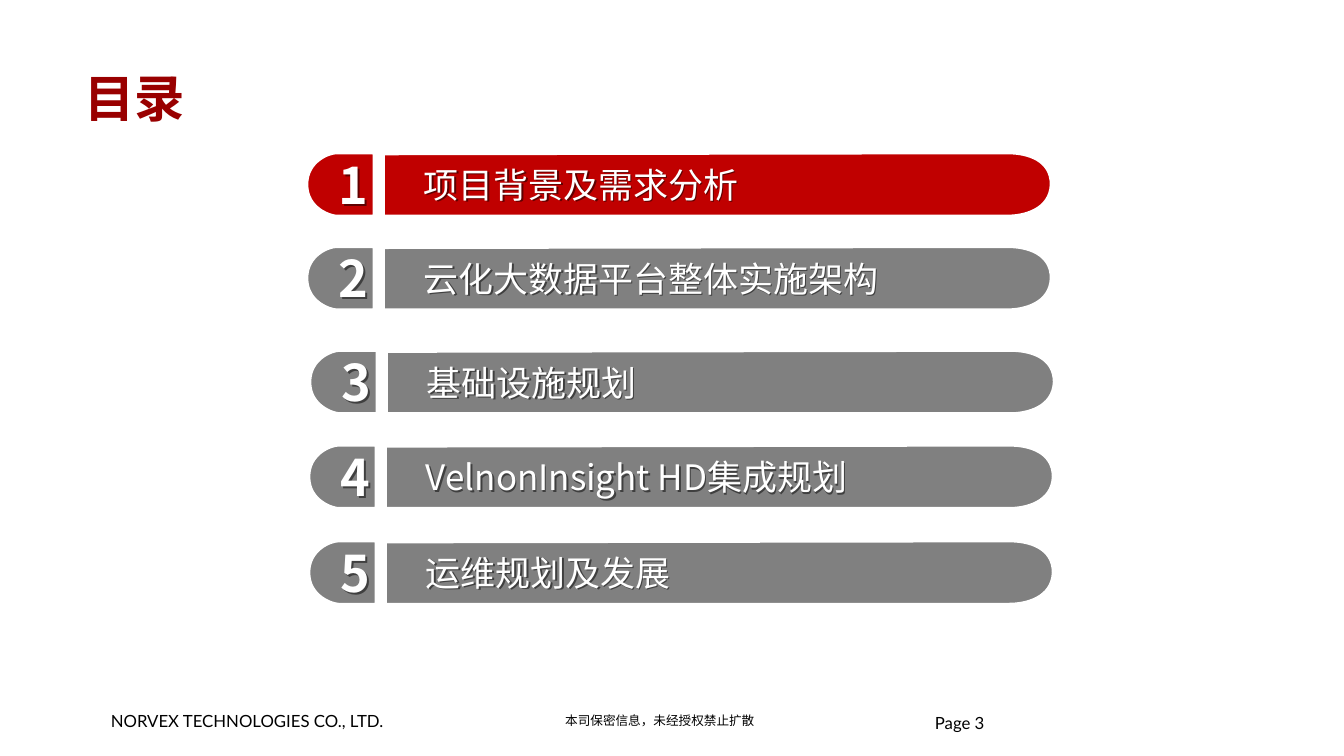
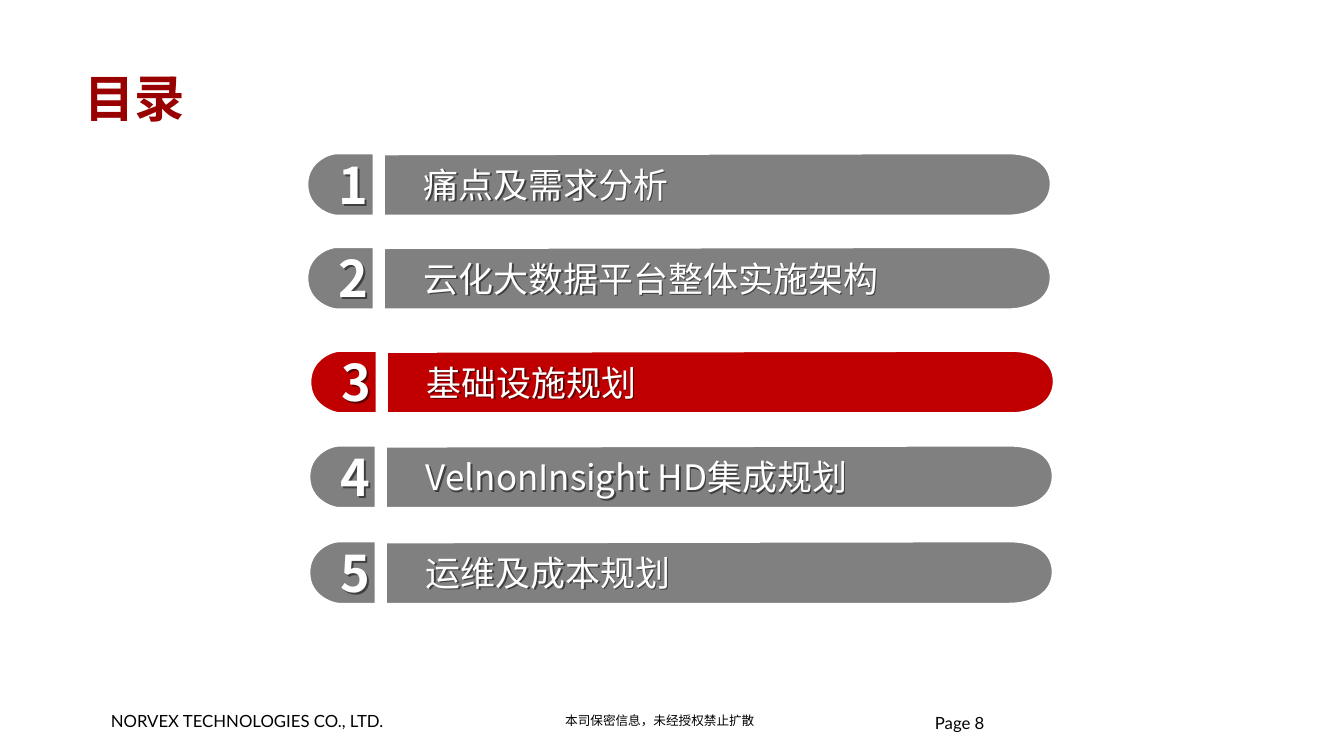
from lxml import etree
from pptx import Presentation
from pptx.dml.color import RGBColor
from pptx.enum.text import MSO_ANCHOR as Anchor, PP_ALIGN as Align
from pptx.oxml import parse_xml
from pptx.oxml.ns import nsdecls, qn
from pptx.util import Inches, Pt


class Theme:
    title, active, idle = "990000", "C00000", "808080"
    white, black = "FFFFFF", "000000"
    cjk, latin = "Noto Sans CJK SC", "Lato"
    title_size, label_size, footer_size, notice_size = 36, 25, 12, 9


# Content: page number, highlighted item, agenda items
TITLE = "目录"
COMPANY = "NORVEX TECHNOLOGIES CO., LTD."
NOTICE = "本司保密信息，未经授权禁止扩散"
SLIDES = [
    (3, 1, ["项目背景及需求分析", "云化大数据平台整体实施架构", "基础设施规划",
            "VelnonInsight HD集成规划", "运维规划及发展"]),
    (8, 3, ["痛点及需求分析", "云化大数据平台整体实施架构", "基础设施规划",
            "VelnonInsight HD集成规划", "运维及成本规划"]),
]

# Left and top of each bar, and width of its label
ROWS = [(3.81, 1.52, 6.29), (3.81, 2.45, 6.72), (3.84, 3.48, 4.97),
        (3.83, 4.42, 6.72), (3.83, 5.37, 6.72)]

# Outlines relative to the bar's left top: 2 numbers make a line, 6 a curve
BAR = [(0, 0.01), (0, 0.62),
       (0.23, 0.62, 6.02, 0.62, 6.19, 0.62),
       (6.35, 0.62, 6.61, 0.56, 6.62, 0.31),
       (6.62, 0.07, 6.39, 0, 6.19, 0),
       (5.98, 0, 0.22, 0.01, 0, 0.01)]
CAP = [(-0.1, 0),
       (-0.1, 0.31, -0.1, 0.62, -0.1, 0.62),
       (-0.47, 0.62),
       (-0.52, 0.62, -0.76, 0.55, -0.76, 0.31),
       (-0.76, 0.08, -0.54, 0, -0.47, 0),
       (-0.1, 0)]


def add_text(shapes, text, box, size, color, font=Theme.cjk, bold=False,
             insets=(0, 0, 0, 0), anchor=Anchor.TOP, align=Align.LEFT, spacing=None):
    sp = shapes.add_textbox(*map(Inches, box))
    tf = sp.text_frame
    tf.word_wrap, tf.vertical_anchor = True, anchor
    tf.margin_left, tf.margin_top, tf.margin_right, tf.margin_bottom = map(Inches, insets)
    p = tf.paragraphs[0]
    p.add_run().text = text
    p.alignment = align
    if spacing:
        p.line_spacing = spacing
    p.font.size, p.font.bold, p.font.name = Pt(size), bold, font
    p.font.color.rgb = RGBColor.from_string(color)
    etree.SubElement(p._p.pPr.find(qn("a:defRPr")), qn("a:ea"), typeface=font)
    return sp


def add_shadow(sp, size):
    """Cast a crisp shadow whose distance follows the type size."""
    sp._element.spPr.append(parse_xml(
        f'<a:effectLst {nsdecls("a")}><a:outerShdw dist="{Pt(size / 18)}" dir="2700000" '
        'algn="tl" rotWithShape="0"><a:srgbClr val="000000"><a:alpha val="50000"/>'
        '</a:srgbClr></a:outerShdw></a:effectLst>'))


def add_outline(shapes, outline, x, y, color):
    start, *ends = [(Inches(x + step[-2]), Inches(y + step[-1])) for step in outline]
    builder = shapes.build_freeform(*start)
    builder.add_line_segments(ends, close=True)
    sp = builder.convert_to_shape()
    bend_segments(sp, outline)
    sp.shadow.inherit = False
    sp.fill.solid()
    sp.fill.fore_color.rgb = RGBColor.from_string(color)
    sp.line.color.rgb = RGBColor.from_string(Theme.white)
    sp.line.width = Pt(1.5)


def bend_segments(sp, outline):
    """Give the curved steps of a freeform their control points."""
    left = min(step[-2] for step in outline)
    top = min(step[-1] for step in outline)
    segments = list(sp._element.iter(qn("a:lnTo")))
    for segment, step in zip(segments, outline[1:]):
        if len(step) == 6:
            segment.tag = qn("a:cubicBezTo")
            for i in (0, 2):
                pt = etree.Element(qn("a:pt"), x=str(Inches(step[i] - left)),
                                   y=str(Inches(step[i + 1] - top)))
                segment.insert(i // 2, pt)


def add_item(s, number, label, row, color):
    x, y, width = row
    shapes = s.shapes.add_group_shape().shapes
    for outline in (BAR, CAP):
        add_outline(shapes, outline, x, y, color)
    texts = [
        (label, (x + 0.3, y + 0.05, width, 0.52), Theme.label_size, False, Align.LEFT),
        (str(number), (x - 0.55, y - 0.05, 0.33, 0.71), Theme.title_size, True, Align.CENTER),
    ]
    for text, box, size, bold, align in texts:
        sp = add_text(shapes, text, box, size, Theme.white, bold=bold, align=align,
                      insets=(0.1, 0.05, 0.1, 0.05), anchor=Anchor.MIDDLE)
        add_shadow(sp, size)


def add_frame(s, page):
    """Footer and title shared by all slides."""
    add_text(s.shapes, COMPANY, (1.1, 7.05, 2.8, 0.2), Theme.footer_size,
             Theme.black, Theme.latin)
    add_text(s.shapes, f"Page {page}", (9.28, 7.1, 3.06, 0.4), Theme.footer_size,
             Theme.black, Theme.latin, spacing=0.85)
    add_text(s.shapes, NOTICE, (5.52, 7.07, 2.15, 0.16), Theme.notice_size,
             Theme.black, insets=(0.09, 0, 0.09, 0))
    add_text(s.shapes, TITLE, (0.84, 0.49, 11.13, 0.95), Theme.title_size, Theme.title,
             bold=True, insets=(0, 0.04, 0.09, 0.04), anchor=Anchor.MIDDLE)


def main():
    prs = Presentation()
    prs.slide_width, prs.slide_height = Inches(13.34), Inches(7.5)
    for page, active, items in SLIDES:
        s = prs.slides.add_slide(prs.slide_layouts[6])
        add_frame(s, page)
        for number, (label, row) in enumerate(zip(items, ROWS), 1):
            add_item(s, number, label, row,
                     Theme.active if number == active else Theme.idle)
    prs.save("out.pptx")


if __name__ == "__main__":
    main()
